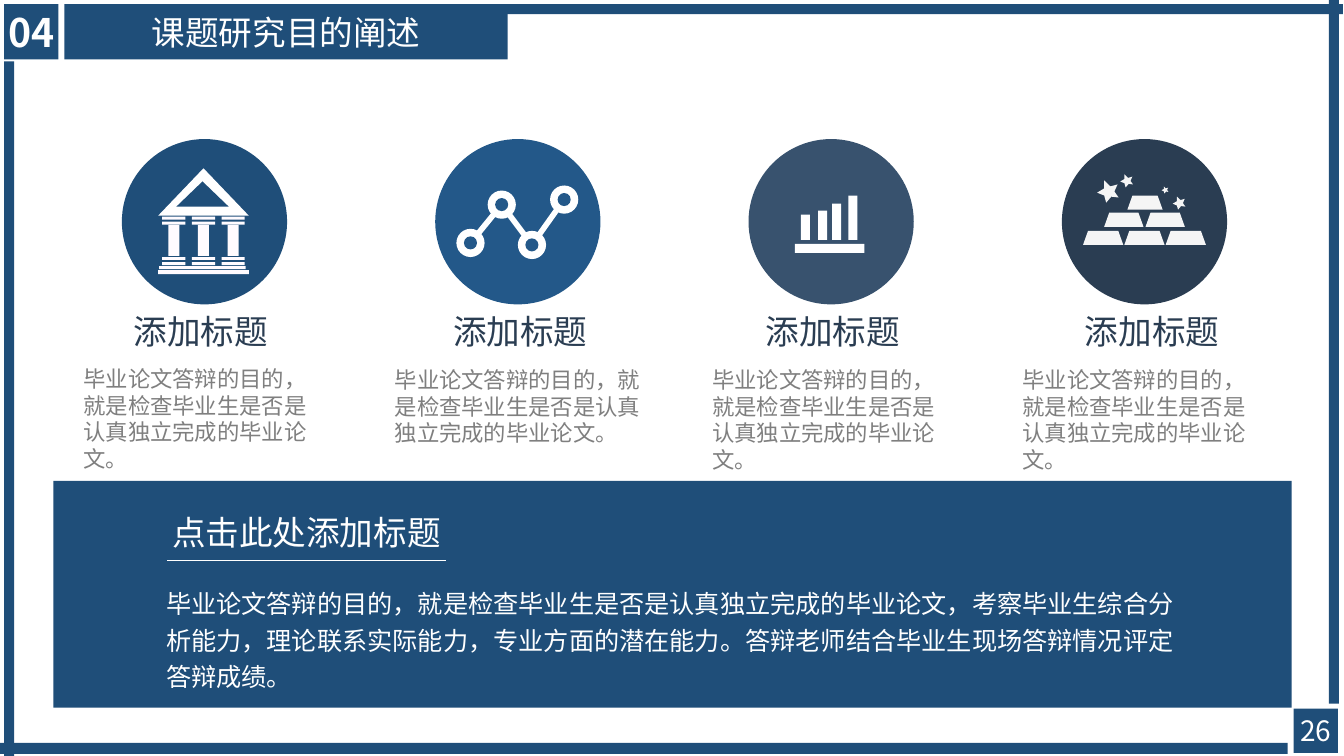
from dataclasses import dataclass
from itertools import pairwise

from lxml.etree import SubElement
from pptx import Presentation
from pptx.dml.color import RGBColor
from pptx.enum.shapes import MSO_CONNECTOR, MSO_SHAPE
from pptx.enum.text import MSO_ANCHOR, MSO_AUTO_SIZE, PP_ALIGN
from pptx.oxml.ns import qn
from pptx.util import Inches, Pt


@dataclass(frozen=True)
class Theme:
    font: str = "Noto Sans CJK SC"
    navy: str = "1F4E79"
    blue: str = "235889"
    slate: str = "38526E"
    dark: str = "2A3D52"
    gray: str = "7F7F7F"
    white: str = "FFFFFF"
    column: str = "FFFBFF"
    ingot: str = "F5F5F5"
    number: int = 28
    heading: int = 24
    page: int = 20
    body: int = 18
    caption: int = 16


class Deck:
    def __init__(self, theme):
        self.theme = theme
        self.prs = Presentation()
        self.prs.slide_width = Inches(13.34)
        self.prs.slide_height = Inches(7.5)
        self.s = self.prs.slides.add_slide(self.prs.slide_layouts[5])
        self.shapes = self.s.shapes

    def start_group(self):
        self.shapes = self.s.shapes.add_group_shape().shapes

    def end_group(self):
        self.shapes = self.s.shapes

    def paint(self, sp, color):
        sp.fill.solid()
        sp.fill.fore_color.rgb = RGBColor.from_string(color)
        sp.line.fill.background()
        sp.shadow.inherit = False
        return sp

    def shape(self, kind, x, y, w, h, color):
        sp = self.shapes.add_shape(kind, Inches(x), Inches(y), Inches(w), Inches(h))
        return self.paint(sp, color)

    def rect(self, x, y, w, h, color):
        return self.shape(MSO_SHAPE.RECTANGLE, x, y, w, h, color)

    def disc(self, x, y, d, color):
        return self.shape(MSO_SHAPE.OVAL, x, y, d, d, color)

    def polygon(self, points, color):
        pts = [(Inches(x), Inches(y)) for x, y in points]
        builder = self.shapes.build_freeform(*pts[0])
        builder.add_line_segments(pts[1:], close=True)
        return self.paint(builder.convert_to_shape(), color)

    def set_text(self, tf, text, size, color, bold=False, align=PP_ALIGN.LEFT, spacing=None):
        tf.auto_size = MSO_AUTO_SIZE.NONE
        p = tf.paragraphs[0]
        p.text = text
        p.alignment = align
        if spacing:
            p.line_spacing = spacing
        p.font.name = self.theme.font
        p.font.size = Pt(size)
        p.font.bold = bold
        p.font.color.rgb = RGBColor.from_string(color)
        props = p._p.get_or_add_pPr().find(qn("a:defRPr"))
        SubElement(props, qn("a:ea")).set("typeface", self.theme.font)

    def text(self, x, y, w, h, text, size, color, wrap=True, spacing=None):
        sp = self.shapes.add_textbox(Inches(x), Inches(y), Inches(w), Inches(h))
        sp.text_frame.word_wrap = wrap
        self.set_text(sp.text_frame, text, size, color, spacing=spacing)

    def badge(self, x, y, w, h, text, size, bold=False):
        tf = self.rect(x, y, w, h, self.theme.navy).text_frame
        tf.margin_left = tf.margin_right = tf.margin_top = tf.margin_bottom = 0
        tf.vertical_anchor = MSO_ANCHOR.MIDDLE
        self.set_text(tf, text, size, self.theme.white, bold, PP_ALIGN.CENTER)

    def title(self, x, y, w, h, text):
        sp = self.paint(self.s.shapes.title, self.theme.navy)
        sp.left, sp.top, sp.width, sp.height = Inches(x), Inches(y), Inches(w), Inches(h)
        sp.text_frame.vertical_anchor = MSO_ANCHOR.MIDDLE
        self.set_text(sp.text_frame, text, self.theme.heading, self.theme.white,
                      align=PP_ALIGN.CENTER)

    def rule(self, x1, x2, y):
        line = self.shapes.add_connector(
            MSO_CONNECTOR.STRAIGHT, Inches(x1), Inches(y), Inches(x2), Inches(y))
        line.line.color.rgb = RGBColor.from_string(self.theme.white)
        line.line.width = Pt(0.5)
        SubElement(line._element.spPr, qn("a:effectLst"))


def temple(deck):
    t = deck.theme
    deck.polygon([(1.57, 2.14), (2.02, 1.67), (2.47, 2.14)], t.white)
    deck.polygon([(1.75, 2.05), (2.01, 1.8), (2.27, 2.05)], t.navy)
    for x in (1.61, 1.905, 2.2):
        for y in (2.15, 2.2, 2.55, 2.6):
            deck.rect(x, y, 0.23, 0.03, t.column)
        deck.rect(x + 0.06, 2.23, 0.11, 0.31, t.column)
    deck.rect(1.58, 2.64, 0.86, 0.03, t.column)
    deck.rect(1.57, 2.68, 0.9, 0.04, t.column)


def network(deck):
    t = deck.theme
    nodes = [(4.67, 2.41), (4.98, 2.03), (5.28, 2.43), (5.6, 1.98)]
    for (x1, y1), (x2, y2) in pairwise(nodes):
        dy = 0.02 if y2 < y1 else -0.02
        deck.polygon([(x1 - 0.02, y1 - dy), (x2 - 0.02, y2 - dy),
                      (x2 + 0.02, y2 + dy), (x1 + 0.02, y1 + dy)], t.white)
    for diameter, color in ((0.28, t.white), (0.13, t.blue)):
        for x, y in nodes:
            deck.disc(x - diameter / 2, y - diameter / 2, diameter, color)


def bars(deck):
    white = deck.theme.white
    deck.rect(7.89, 2.42, 0.69, 0.09, white)
    for x, top in ((7.95, 2.13), (8.12, 2.09), (8.26, 2.02), (8.42, 1.94)):
        deck.rect(x, top, 0.09, 2.38 - top, white)


def ingots(deck):
    color = deck.theme.ingot
    star = [(0.97, 0.77), (0.64, 0.73), (0.41, 1), (0.32, 0.68), (0, 0.55),
            (0.32, 0.36), (0.32, 0), (0.6, 0.27), (0.92, 0.18), (0.78, 0.5)]
    for x, y, size in ((10.89, 1.79, 0.22), (11.64, 1.95, 0.13),
                       (11.53, 1.85, 0.07), (11.12, 1.73, 0.13)):
        deck.polygon([(x + size * u, y + size * v) for u, v in star], color)
    for count, x, y, w in ((1, 11.19, 1.94, 0.35), (2, 10.96, 2.11, 0.39),
                           (3, 10.75, 2.29, 0.4)):
        for i in range(count):
            left = x + 0.41 * i
            deck.polygon([(left + 0.05, y), (left + w - 0.05, y),
                          (left + w, y + 0.14), (left, y + 0.14)], color)


def main():
    t = Theme()
    deck = Deck(t)
    purpose = "毕业论文答辩的目的，就是检查毕业生是否是认真独立完成的毕业论文"
    deck.rect(0.53, 4.77, 12.29, 2.25, t.navy)
    columns = [
        (temple, t.navy, 1.23, 0.73, 3.57, 2.56),
        (network, t.blue, 4.4, 3.82, 3.58, 2.64),
        (bars, t.slate, 7.5, 6.97, 3.58, 2.61),
        (ingots, t.dark, 10.67, 10.05, 3.58, 2.61),
    ]
    for i, (icon, color, label_x, note_x, note_y, note_w) in enumerate(columns):
        deck.start_group()
        deck.disc(1.21 + 3.11 * i, 1.38, 1.64, color)
        icon(deck)
        deck.end_group()
        deck.text(label_x, 3.04, 1.53, 0.5, "添加标题", t.heading, t.dark, wrap=False)
        deck.text(note_x, note_y, note_w, 1.17, purpose + "。", t.caption, t.gray)

    deck.text(1.61, 5.03, 2.86, 0.5, "点击此处添加标题", t.heading, t.white, wrap=False)
    deck.rule(1.66, 4.43, 5.56)
    deck.text(1.55, 5.73, 10.37, 0.97,
              purpose + "，考察毕业生综合分析能力，理论联系实际能力，"
              "专业方面的潜在能力。答辩老师结合毕业生现场答辩情况评定答辩成绩。",
              t.body, t.white, spacing=1.2)

    for frame_bar in ((0.77, 0.04, 12.56, 0.1), (0, 7.37, 12.78, 0.11),
                      (13.19, 0, 0.1, 6.98), (0.04, 0.61, 0.1, 6.89)):
        deck.rect(*frame_bar, t.navy)
    deck.title(0.64, 0.04, 4.4, 0.55, "课题研究目的阐述")
    deck.badge(0.04, 0.04, 0.54, 0.55, "04", t.number, bold=True)
    deck.badge(12.84, 7.03, 0.44, 0.44, "26", t.page)
    deck.prs.save("out.pptx")


if __name__ == "__main__":
    main()
